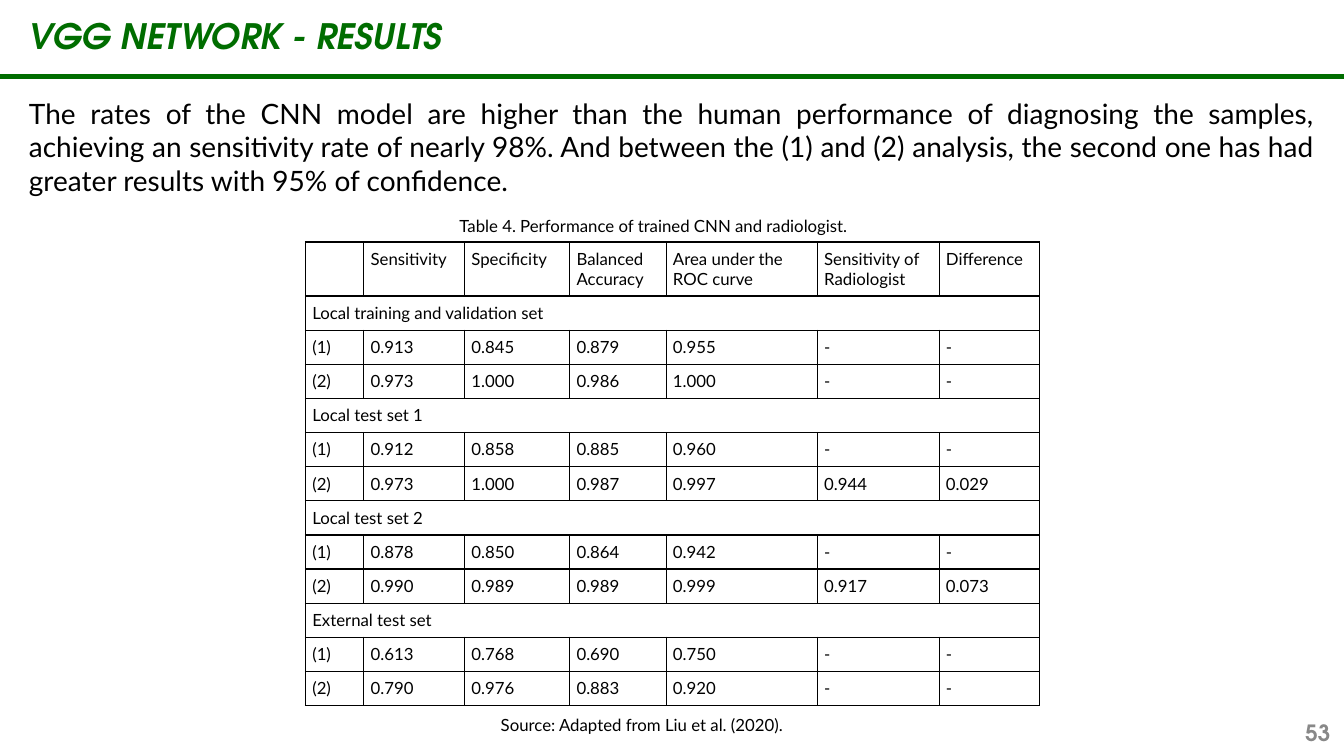
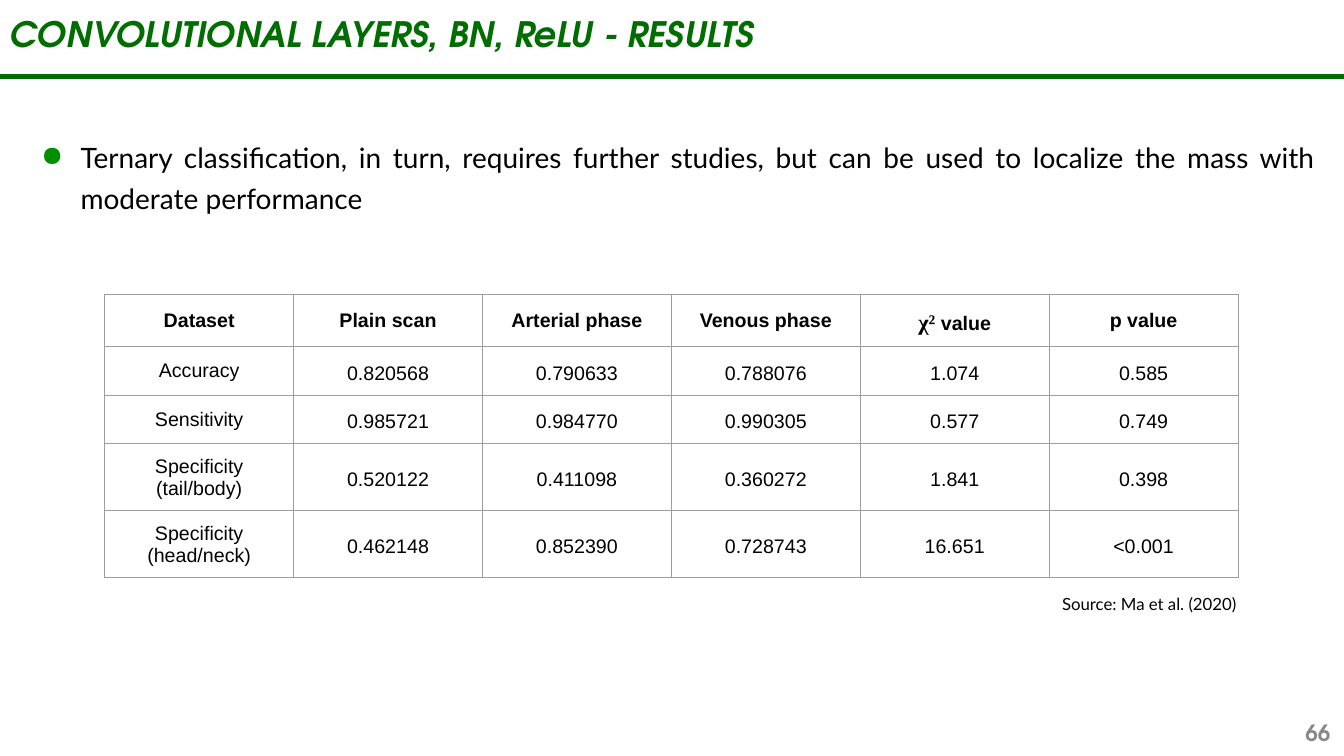
from dataclasses import dataclass, replace

from lxml import etree
from pptx import Presentation
from pptx.dml.color import RGBColor
from pptx.enum.shapes import MSO_CONNECTOR
from pptx.enum.text import MSO_ANCHOR, MSO_AUTO_SIZE, PP_ALIGN
from pptx.oxml.ns import qn
from pptx.util import Cm, Pt

STRAIGHT = MSO_CONNECTOR.STRAIGHT
TOP, MIDDLE = MSO_ANCHOR.TOP, MSO_ANCHOR.MIDDLE
LEFT, CENTER = PP_ALIGN.LEFT, PP_ALIGN.CENTER
RIGHT, JUSTIFY = PP_ALIGN.RIGHT, PP_ALIGN.JUSTIFY
NO_AUTOFIT = MSO_AUTO_SIZE.NONE
TITLE_ONLY = 5


@dataclass(frozen=True)
class Style:
    font: str
    size: float
    color: str = "000000"
    bold: bool = False
    italic: bool = False


@dataclass(frozen=True)
class Theme:
    width: float = 33.87
    height: float = 19.05
    green: str = "006D00"
    bullet: str = "008F00"
    grid_dark: str = "000000"
    grid_gray: str = "9E9E9E"
    title: Style = Style("TeX Gyre Adventor", 25, "006D00", True, True)
    number: Style = Style("TeX Gyre Adventor", 16, "888888", True)
    body: Style = Style("Lato", 20)
    small: Style = Style("Lato", 12)
    data: Style = Style("Arial", 14)
    symbol: Style = Style("Times New Roman", 16, bold=True)


THEME = Theme()
DATA_HEAD = replace(THEME.data, bold=True)

# Table contents: a row with one entry spans the whole table
PERFORMANCE = [
    ["", "Sensitivity", "Specificity", "Balanced Accuracy", "Area under the ROC curve",
     "Sensitivity of Radiologist", "Difference"],
    ["Local training and validation set"],
    ["(1)", "0.913", "0.845", "0.879", "0.955", "-", "-"],
    ["(2)", "0.973", "1.000", "0.986", "1.000", "-", "-"],
    ["Local test set 1"],
    ["(1)", "0.912", "0.858", "0.885", "0.960", "-", "-"],
    ["(2)", "0.973", "1.000", "0.987", "0.997", "0.944", "0.029"],
    ["Local test set 2"],
    ["(1)", "0.878", "0.850", "0.864", "0.942", "-", "-"],
    ["(2)", "0.990", "0.989", "0.989", "0.999", "0.917", "0.073"],
    ["External test set"],
    ["(1)", "0.613", "0.768", "0.690", "0.750", "-", "-"],
    ["(2)", "0.790", "0.976", "0.883", "0.920", "-", "-"],
]
PHASES = [
    ["Dataset", "Plain scan", "Arterial phase", "Venous phase", "χ² value", "p value"],
    ["Accuracy", "0.820568", "0.790633", "0.788076", "1.074", "0.585"],
    ["Sensitivity", "0.985721", "0.984770", "0.990305", "0.577", "0.749"],
    ["Specificity (tail/body)", "0.520122", "0.411098", "0.360272", "1.841", "0.398"],
    ["Specificity (head/neck)", "0.462148", "0.852390", "0.728743", "16.651", "<0.001"],
]


# Text
def add_span(para, text, style):
    span = para.add_run()
    span.text = text
    font = span.font
    font.name, font.size = style.font, Pt(style.size)
    font.bold, font.italic = style.bold, style.italic
    font.color.rgb = RGBColor.from_string(style.color)


def set_frame(frame, anchor, inset_y):
    frame.word_wrap = True
    frame.auto_size = NO_AUTOFIT
    frame.vertical_anchor = anchor
    frame.margin_left = frame.margin_right = Cm(0.25)
    frame.margin_top = frame.margin_bottom = Cm(inset_y)


def add_text(page, area, text, style, align=LEFT, anchor=TOP, inset_y=0.25):
    box = page.shapes.add_textbox(*map(Cm, area))
    set_frame(box.text_frame, anchor, inset_y)
    para = box.text_frame.paragraphs[0]
    para.alignment = align
    add_span(para, text, style)
    return para


def set_bullet(para, indent, hanging):
    props = para._p.get_or_add_pPr()
    props.set("marL", str(Cm(indent)))
    props.set("indent", str(-Cm(hanging)))
    color = etree.SubElement(props, qn("a:buClr"))
    etree.SubElement(color, qn("a:srgbClr"), val=THEME.bullet)
    etree.SubElement(props, qn("a:buChar"), char="●")


# Tables
def set_borders(cell, color, width):
    props = cell._tc.get_or_add_tcPr()
    for index, side in enumerate(("lnL", "lnR", "lnT", "lnB")):
        line = etree.Element(qn(f"a:{side}"), w=str(Pt(width)))
        fill = etree.SubElement(line, qn("a:solidFill"))
        etree.SubElement(fill, qn("a:srgbClr"), val=color)
        props.insert(index, line)


def add_table(page, left, top, widths, heights, rows, border, inset, anchor, write_cell):
    frame = page.shapes.add_table(len(rows), len(widths), Cm(left), Cm(top),
                                  Cm(sum(widths)), Cm(sum(heights)))
    table = frame.table
    table.first_row = table.horz_banding = False
    for column, width in zip(table.columns, widths):
        column.width = Cm(width)
    for line, height in zip(table.rows, heights):
        line.height = Cm(height)
    for cell in table.iter_cells():
        cell.fill.background()
        set_borders(cell, *border)
        cell.vertical_anchor = anchor
        cell.margin_left = cell.margin_right = Cm(inset)
        cell.margin_top = cell.margin_bottom = Cm(inset)
    for row, texts in enumerate(rows):
        if len(texts) == 1:
            table.cell(row, 0).merge(table.cell(row, len(widths) - 1))
        for column, text in enumerate(texts):
            if text:
                para = table.cell(row, column).text_frame.paragraphs[0]
                write_cell(para, text, row, column)


def write_performance_cell(para, text, row, column):
    add_span(para, text, THEME.small)


def write_phase_cell(para, text, row, column):
    para.alignment = CENTER
    symbol = "χ²" if text.startswith("χ²") else ""
    if symbol or (row and column):
        para.line_spacing = 1.2
    if symbol:
        add_span(para, symbol, THEME.symbol)
    add_span(para, text.removeprefix("χ²"), THEME.data if row else DATA_HEAD)


# Shared page frame: title, green rule and page number
def add_page(deck, title, title_left, title_top, number):
    page = deck.slides.add_slide(deck.slide_layouts[TITLE_ONLY])
    head = page.shapes.title
    head.left, head.top = Cm(title_left), Cm(title_top)
    head.width, head.height = Cm(26.34), Cm(1.32)
    set_frame(head.text_frame, TOP, 0.13)
    para = head.text_frame.paragraphs[0]
    para.alignment = LEFT
    add_span(para, title, THEME.title)

    rule = page.shapes.add_connector(STRAIGHT, 0, Cm(1.93), Cm(THEME.width), Cm(1.93))
    rule.line.color.rgb = RGBColor.from_string(THEME.green)
    rule.line.width = Pt(3.5)
    etree.SubElement(rule._element.spPr, qn("a:effectLst"))

    add_text(page, (26.16, 17.96, 7.62, 1.02), str(number), THEME.number,
             RIGHT, MIDDLE, inset_y=0.13)
    return page


def build_network_results(deck):
    page = add_page(deck, "VGG NETWORK - RESULTS", 0.48, 0.23, 53)
    add_text(page, (0.48, 2.29, 32.89, 2.82),
             "The rates of the CNN model are higher than the human performance of diagnosing "
             "the samples, achieving an sensitivity rate of nearly 98%. And between the (1) and "
             "(2) analysis, the second one has had greater results with 95% of confidence.",
             THEME.body, JUSTIFY, inset_y=0.13)
    add_text(page, (11.33, 5.03, 11.18, 1.32),
             "Table 4. Performance of trained CNN and radiologist.",
             THEME.small, JUSTIFY, MIDDLE)
    add_table(page, 7.7, 6.1, [1.47, 2.54, 2.65, 2.43, 3.81, 3.07, 2.52],
              [1.36] + [0.86] * 12, PERFORMANCE, (THEME.grid_dark, 1), 0.17, TOP,
              write_performance_cell)
    add_text(page, (12.37, 17.75, 9.14, 1.02),
             "Source: Adapted from Liu et al. (2020).", THEME.small)


def build_layer_results(deck):
    page = add_page(deck, "CONVOLUTIONAL LAYERS, BN, ReLU - RESULTS", 0, 0.18, 66)
    finding = add_text(page, (0.51, 3.25, 32.89, 2.2),
                       "Ternary classification, in turn, requires further studies, but can be "
                       "used to localize the mass with moderate performance",
                       THEME.body, JUSTIFY, inset_y=0.13)
    set_bullet(finding, 1.27, 0.99)
    finding.line_spacing = 1.2
    add_table(page, 2.64, 7.42, [4.76] * 6, [1.32, 1.22, 1.22, 1.69, 1.69],
              PHASES, (THEME.grid_gray, 0.75), 0.25, MIDDLE, write_phase_cell)
    add_text(page, (25.7, 14.71, 6.53, 1.02), "Source: Ma et al. (2020)",
             THEME.small, CENTER)


def main():
    deck = Presentation()
    deck.slide_width, deck.slide_height = Cm(THEME.width), Cm(THEME.height)
    build_network_results(deck)
    build_layer_results(deck)
    deck.save("out.pptx")


if __name__ == "__main__":
    main()
